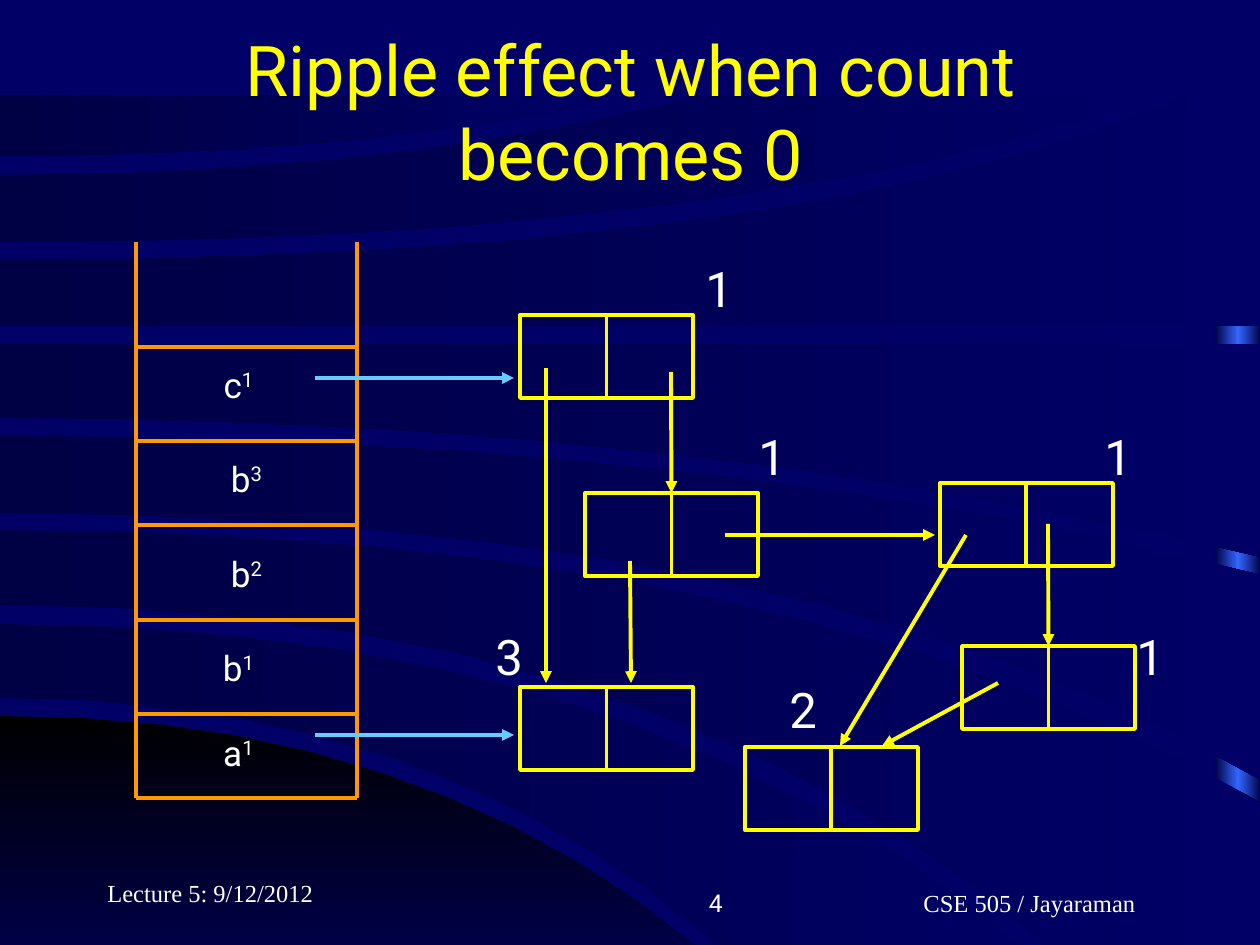
from dataclasses import dataclass

from lxml import etree
from pptx import Presentation
from pptx.dml.color import RGBColor
from pptx.enum.shapes import MSO_CONNECTOR, MSO_SHAPE
from pptx.enum.text import MSO_ANCHOR, MSO_AUTO_SIZE, PP_ALIGN
from pptx.oxml.ns import qn
from pptx.util import Pt

STRAIGHT = MSO_CONNECTOR.STRAIGHT
RECTANGLE = MSO_SHAPE.RECTANGLE
LEFT, CENTER, RIGHT = PP_ALIGN.LEFT, PP_ALIGN.CENTER, PP_ALIGN.RIGHT
TOP, MIDDLE, BOTTOM = MSO_ANCHOR.TOP, MSO_ANCHOR.MIDDLE, MSO_ANCHOR.BOTTOM
PX = 914400 / 126


@dataclass
class Theme:
    navy = RGBColor.from_string("000066")
    dark = RGBColor.from_string("000044")
    black = RGBColor.from_string("000000")
    glow = RGBColor.from_string("3366FF")
    yellow = RGBColor.from_string("FFFF00")
    orange = RGBColor.from_string("FF9900")
    sky = RGBColor.from_string("66CCFF")
    white = RGBColor.from_string("FFFFFF")
    sans = "Roboto"
    serif = "Times New Roman"
    title = Pt(40)
    count = Pt(28)
    label = Pt(20)
    footer = Pt(14)
    stroke = Pt(2.25)


theme = Theme()
deck = Presentation()
deck.slide_width, deck.slide_height = round(1260 * PX), round(945 * PX)
page = deck.slides.add_slide(deck.slide_layouts[5])
page.background.fill.solid()
page.background.fill.fore_color.rgb = theme.navy


def add_line(start, end, color, arrow=False):
    line = page.shapes.add_connector(STRAIGHT, *(round(v * PX) for v in (*start, *end)))
    line.line.color.rgb = color
    line.line.width = theme.stroke
    if arrow:
        etree.SubElement(line.line._get_or_add_ln(), qn("a:tailEnd"), type="triangle")
    etree.SubElement(line.element.spPr, qn("a:effectLst"))
    return line


def add_text(text, bounds, size, align=LEFT, font=theme.sans, anchor=TOP, wrap=False):
    box = page.shapes.add_textbox(*(round(v * PX) for v in bounds))
    box.text_frame.word_wrap = wrap
    box.text_frame.vertical_anchor = anchor
    box.text_frame.text = text
    para = box.text_frame.paragraphs[0]
    para.alignment = align
    para.font.size, para.font.name = size, font
    para.font.color.rgb = theme.white
    return para


# Glowing bar on the right edge, seen between the bands
bar = page.shapes.add_shape(RECTANGLE, *(round(v * PX) for v in (1215, 97, 46, 945)))
bar.shadow.inherit = False
bar.line.fill.background()
bar.fill.gradient()
bar.fill.gradient_angle = 0
for stop in bar.fill.gradient_stops:
    stop.color.rgb = theme.dark
stop_list = bar.element.spPr.find(qn("a:gradFill")).find(qn("a:gsLst"))
middle_stop = etree.Element(qn("a:gs"), pos="50000")
etree.SubElement(middle_stop, qn("a:srgbClr"), val=str(theme.glow))
stop_list.insert(1, middle_stop)

# Backdrop bands between two quadratic curves that leave the left side level.
# Each edge: y at the left, x of the bend, x and y of the end.
bands = [
    ((716, 500, 793, 1042), (1042, 400, 793, 1042)),
    ((624, 719, 1126, 1040), (698, 515, 810, 1040)),
    ((530, 788, 1261, 803), (605, 743, 1147, 1040)),
    ((436, 714, 1261, 575), (513, 804, 1261, 780)),
    ((344, 630, 1261, 344), (418, 694, 1261, 557)),
    ((260, 818, 1189, 95), (326, 630, 1261, 326)),
    ((175, 405, 702, 95), (242, 746, 1157, 95)),
    ((95, 316, 633, 95), (156, 374, 633, 95)),
]
steps = 12
for index, edges in enumerate(bands):
    upper, lower = [
        [(round(2 * t * (1 - t) * bend + t * t * end_x), round(y + t * t * (end_y - y)))
         for t in (step / steps for step in range(steps + 1))]
        for y, bend, end_x, end_y in edges
    ]
    shorter, longer = sorted((upper[-1], lower[-1]))
    corner = (longer[0], shorter[1])
    points = upper + [corner] + lower[::-1]
    outline = page.shapes.build_freeform(*points[0], scale=PX)
    outline.add_line_segments(points[1:], close=True)
    band = outline.convert_to_shape()
    band.shadow.inherit = False
    band.line.fill.background()
    band.fill.gradient()
    band.fill.gradient_angle = 0 if index else 270
    first, last = band.fill.gradient_stops
    first.color.rgb = theme.dark if index else theme.black
    last.color.rgb = theme.navy

# Title, brought in front of the backdrop
title = page.shapes.title
page.shapes.element.append(title.element)
title.left, title.top, title.width, title.height = (round(v * PX) for v in (95, 32, 1071, 158))
title.text_frame.text = "Ripple effect when count becomes 0"
title.text_frame.word_wrap = True
title.text_frame.auto_size = MSO_AUTO_SIZE.NONE
title.text_frame.vertical_anchor = MIDDLE
para = title.text_frame.paragraphs[0]
para.alignment = CENTER
para.font.size, para.font.name = theme.title, theme.sans
para.font.color.rgb = theme.yellow

# Stack: two open sides, one line under each cell
stack_left, stack_right, stack_top, stack_bottom = 136, 357, 242, 798
for x in (stack_left, stack_right):
    add_line((x, stack_top), (x, stack_bottom), theme.orange)
for y in (347, 441, 525, 620, 714, stack_bottom):
    add_line((stack_left, y), (stack_right, y), theme.orange)

# Stack labels with superscripts
for name, power, x, y in [("c", "1", 210, 357), ("b", "3", 218, 451), ("b", "2", 218, 546),
                          ("b", "1", 210, 640), ("a", "1", 210, 725)]:
    para = add_text(name, (x, y, 57, 55), theme.label, CENTER)
    span = para.add_run()
    span.text = power
    span._r.get_or_add_rPr().set("baseline", "30000")

# Two-cell nodes, each with its reference count
node_width, node_height = 173, 83
nodes = {}
for name, x, y, count, count_x, count_y in [
    ("first", 520, 315, "1", 693, 252),
    ("second", 585, 493, "1", 746, 420),
    ("third", 940, 483, "1", 1092, 420),
    ("fourth", 962, 646, "1", 1124, 620),
    ("shared", 520, 687, "3", 483, 620),
    ("last", 745, 747, "2", 777, 673),
]:
    node = page.shapes.add_shape(
        RECTANGLE, *(round(v * PX) for v in (x, y, node_width, node_height)))
    node.shadow.inherit = False
    node.fill.background()
    node.line.color.rgb = theme.yellow
    node.line.width = theme.stroke
    nodes[name] = node
    center = x + node_width / 2
    divider = add_line((center, y), (center, y + node_height), theme.yellow)
    divider.begin_connect(node, 0)
    divider.end_connect(node, 2)
    add_text(count, (count_x, count_y, 52, 72), theme.count)

# Pointers from the stack
for y in (378, 735):
    add_line((315, y), (514, y), theme.sky, arrow=True)

# Pointers between nodes; a name marks the node whose top middle is met
for start, end, target in [
    ((671, 372), (671, 493), "second"),
    ((1048, 524), (1048, 646), "fourth"),
    ((725, 535), (935, 535), None),
    ((546, 368), (546, 683), None),
    ((630, 561), (631, 683), None),
    ((966, 535), (840, 746), None),
    ((998, 683), (882, 746), None),
]:
    pointer = add_line(start, end, theme.yellow, arrow=True)
    if target:
        pointer.end_connect(nodes[target], 0)

# Footer
for text, bounds, align, font in [
    ("Lecture 5: 9/12/2012", (95, 851, 262, 63), LEFT, theme.serif),
    ("4", (473, 861, 262, 63), RIGHT, theme.sans),
    ("CSE 505 / Jayaraman", (830, 861, 399, 63), CENTER, theme.serif),
]:
    add_text(text, bounds, theme.footer, align, font, BOTTOM, wrap=True)

deck.save("out.pptx")
